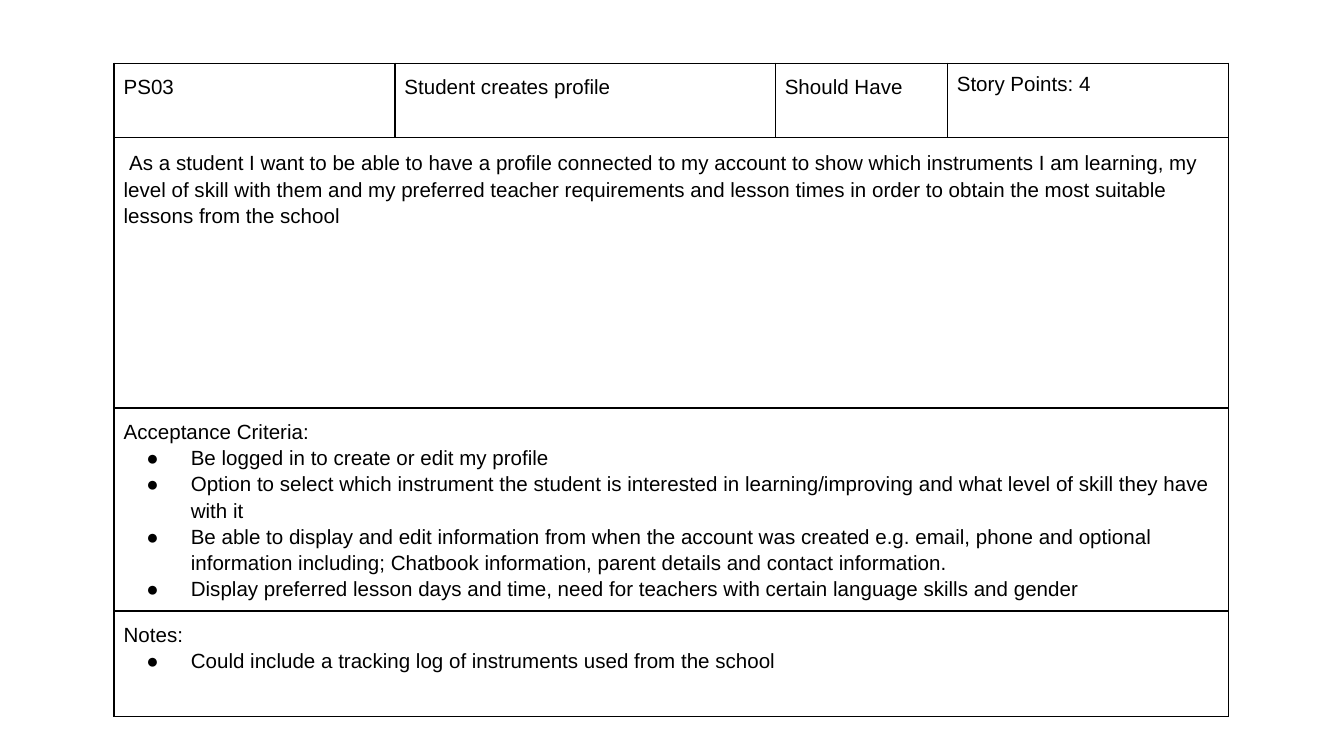
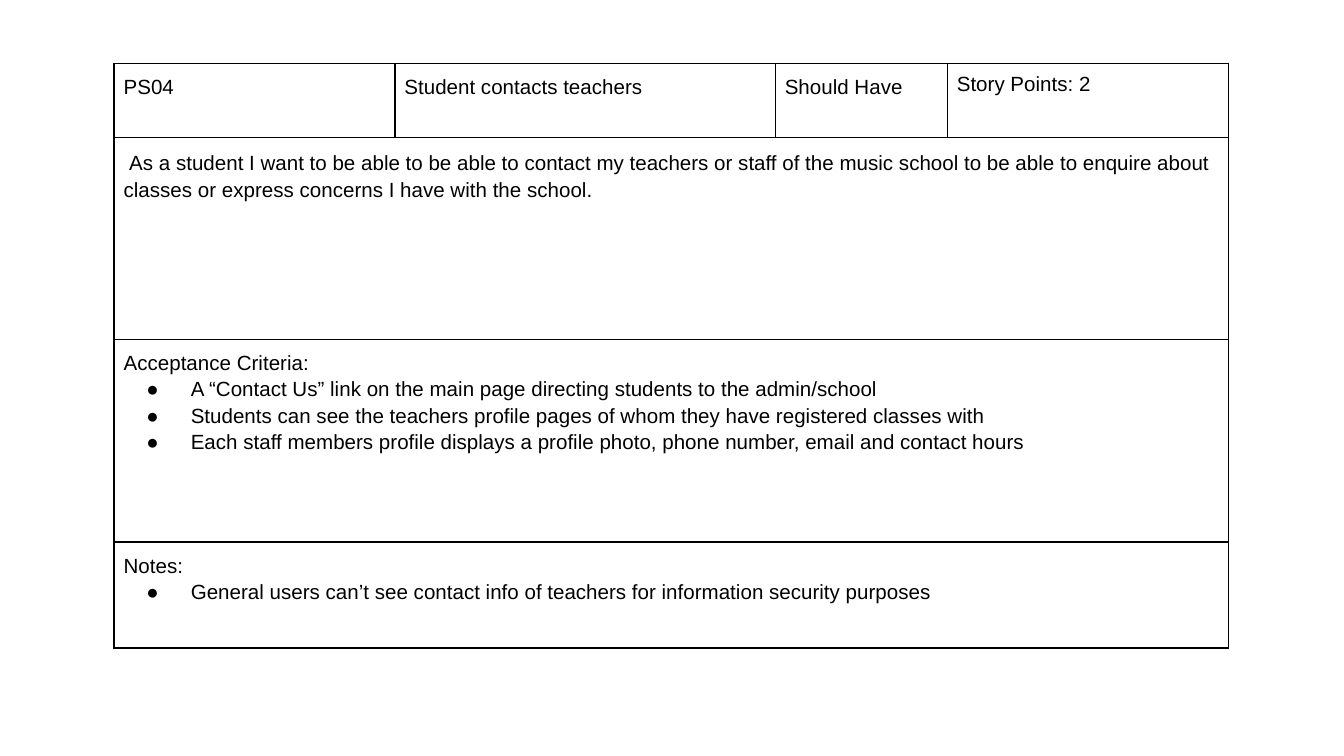
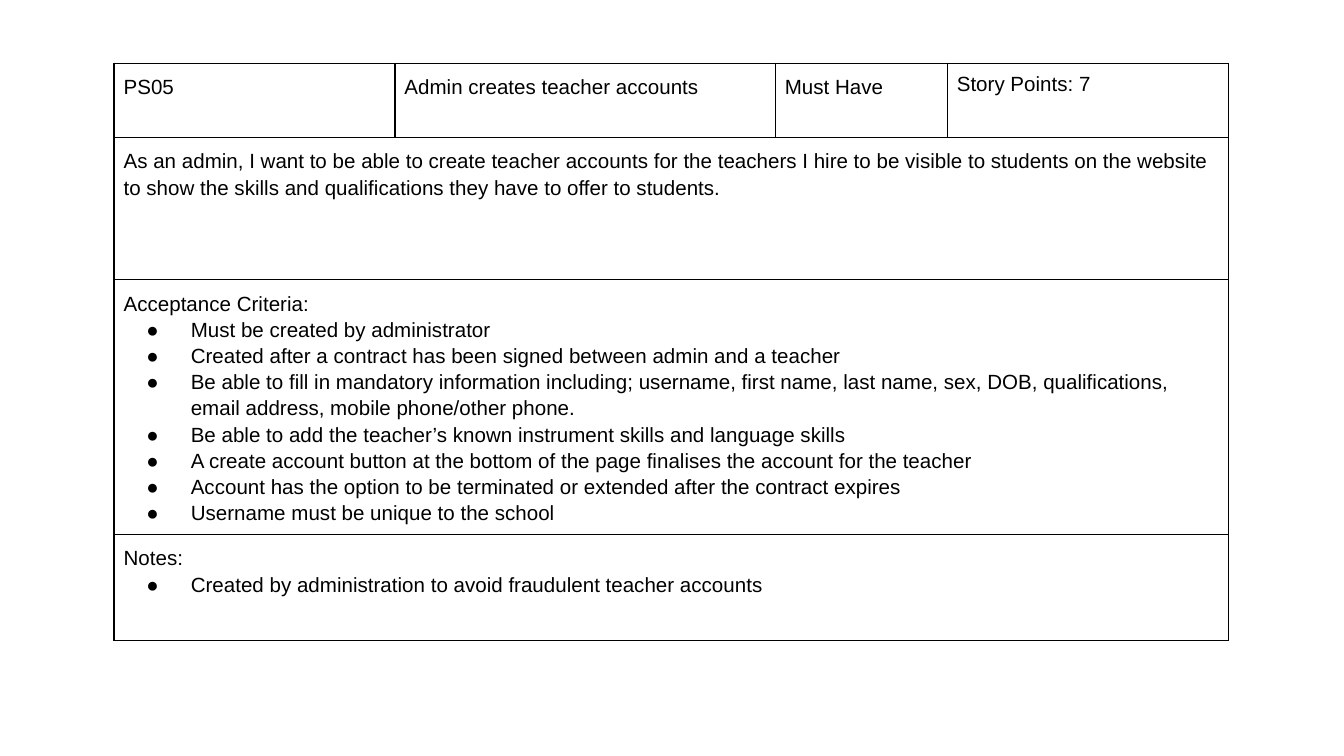
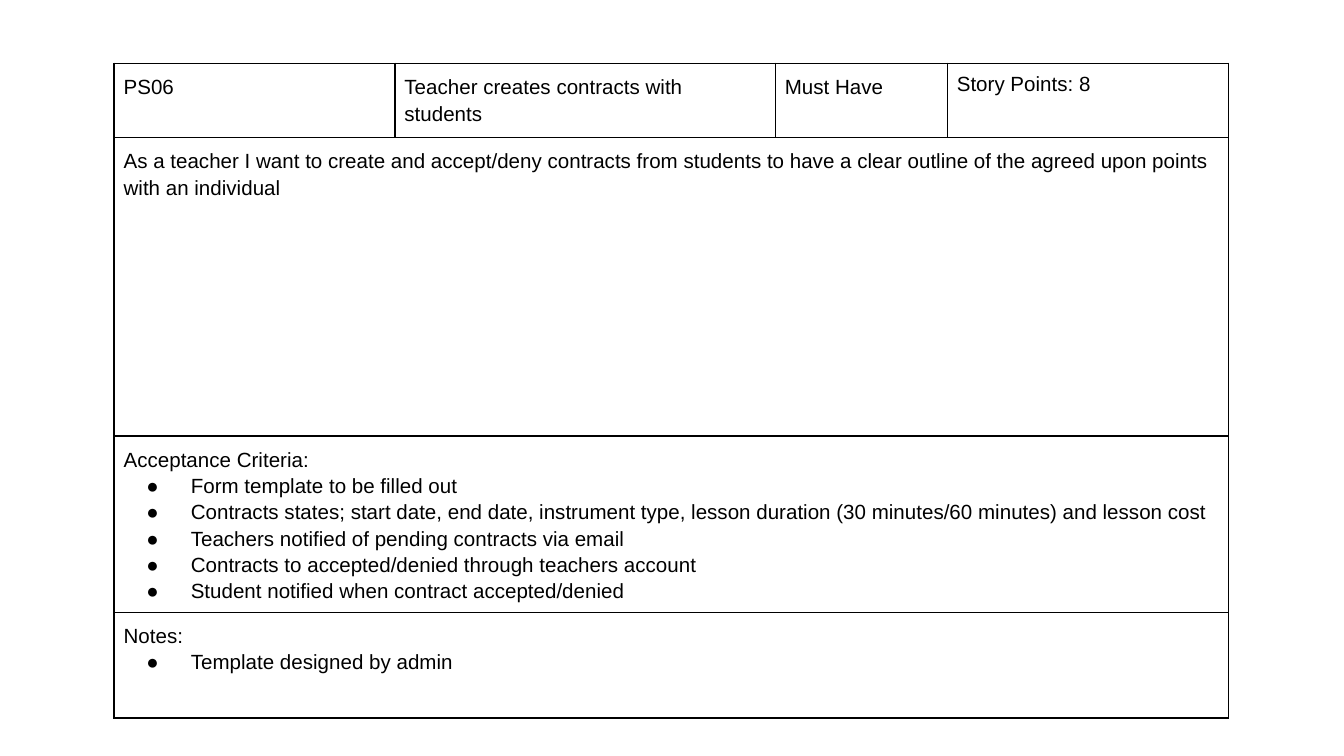
import pptx
import pptx.util
import pptx.dml.color
import pptx.oxml
import pptx.oxml.ns
import lxml.etree

SLIDE_WIDTH = pptx.util.Inches(10)
SLIDE_HEIGHT = pptx.util.Inches(5.625)
INK = "000000"
PAPER = "FFFFFF"
BODY_FONT = "Arial"
BODY_SIZE = 11
LEAD_FONT = "Times New Roman"
LEAD_SIZE = 12
LINE_SPACING = 1.15
CELL_MARGIN = pptx.util.Inches(0.07)
BULLET_INDENT = pptx.util.Inches(0.5)
BULLET_HANG = pptx.util.Inches(0.33)
CARD_LEFT, CARD_TOP = 8.5, 8.4
COLUMN_PERCENTS = [20.9, 28.3, 12.8, 20.9]
HEADER_PERCENT = 9.8
NOTES_PERCENT = 14

STORIES = [
    {
        "header": ["PS03", "Student creates profile", "Should Have", "Story Points: 4"],
        "lead": " ",
        "story": "As a student I want to be able to have a profile connected to my account to show which instruments I am learning, my level of skill with them and my preferred teacher requirements and lesson times in order to obtain the most suitable lessons from the school",
        "criteria": [
            "Be logged in to create or edit my profile",
            "Option to select which instrument the student is interested in learning/improving and what level of skill they have with it",
            "Be able to display and edit information from when the account was created e.g. email, phone and optional information including; Chatbook information, parent details and contact information.",
            "Display preferred lesson days and time, need for teachers with certain language skills and gender",
        ],
        "notes": ["Could include a tracking log of instruments used from the school"],
        "percents": [35.8, 26.8],
        "story_fill": PAPER,
    },
    {
        "header": ["PS04", "Student contacts teachers", "Should Have", "Story Points: 2"],
        "lead": " ",
        "story": "As a student I want to be able to be able to contact my teachers or staff of the music school to be able to enquire about classes or express concerns I have with the school.",
        "criteria": [
            "A “Contact Us” link on the main page directing students to the admin/school",
            "Students can see the teachers profile pages of whom they have registered classes with",
            "Each staff members profile displays a profile photo, phone number, email and contact hours",
        ],
        "notes": ["General users can’t see contact info of teachers for information security purposes"],
        "percents": [26.7, 26.8],
    },
    {
        "header": ["PS05", "Admin creates teacher accounts", "Must Have", "Story Points: 7"],
        "story": "As an admin, I want to be able to create teacher accounts for the teachers I hire to be visible to students on the website to show the skills and qualifications they have to offer to students.",
        "criteria": [
            "Must be created by administrator",
            "Created after a contract has been signed between admin and a teacher ",
            "Be able to fill in mandatory information including; username, first name, last name, sex, DOB, qualifications, email address, mobile phone/other phone.",
            "Be able to add the teacher’s known instrument skills and language skills",
            "A create account button at the bottom of the page finalises the account for the teacher",
            "Account has the option to be terminated or extended after the contract expires",
            "Username must be unique to the school",
        ],
        "notes": ["Created by administration to avoid fraudulent teacher accounts"],
        "percents": [18.8, 33.7],
    },
    {
        "header": ["PS06", "Teacher creates contracts with students", "Must Have", "Story Points: 8"],
        "story": "As a teacher I want to create and accept/deny contracts from students to have a clear outline of the agreed upon points with an individual",
        "criteria": [
            "Form template to be filled out",
            "Contracts states; start date, end date, instrument type, lesson duration (30 minutes/60 minutes) and lesson cost",
            "Teachers notified of pending contracts via email",
            "Contracts to accepted/denied through teachers account",
            "Student notified when contract accepted/denied",
        ],
        "notes": ["Template designed by admin"],
        "percents": [39.5, 23.3],
    },
]


def color(hex_string):
    return pptx.dml.color.RGBColor.from_string(hex_string)


def across(percent):
    return round(SLIDE_WIDTH * percent / 100)


def down(percent):
    return round(SLIDE_HEIGHT * percent / 100)


def add_child(parent, tag, **attributes):
    child = lxml.etree.SubElement(parent, pptx.oxml.ns.qn(tag))
    for name, value in attributes.items():
        child.set(name, str(value))
    return child


def add_text(paragraph, text, font=BODY_FONT, size=BODY_SIZE, ink=INK,
             spacing=LINE_SPACING, bullet=None):
    if spacing:
        paragraph.line_spacing = spacing
    run = paragraph.add_run()
    run.text = text
    run.font.name = font
    run.font.size = pptx.util.Pt(size)
    run.font.color.rgb = color(ink)
    if bullet:
        properties = paragraph._p.get_or_add_pPr()
        properties.set("marL", str(BULLET_INDENT))
        properties.set("indent", str(-BULLET_HANG))
        add_child(add_child(properties, "a:buClr"), "a:srgbClr", val=ink)
        add_child(properties, "a:buFont", typeface=font)
        add_child(properties, "a:buChar", char=bullet)


def format_cell(cell, fill=None):
    cell.margin_left = cell.margin_right = CELL_MARGIN
    cell.margin_top = cell.margin_bottom = CELL_MARGIN
    properties = cell._tc.get_or_add_tcPr()
    for side in ("a:lnL", "a:lnR", "a:lnT", "a:lnB"):
        line = add_child(properties, side, w=pptx.util.Pt(1))
        add_child(add_child(line, "a:solidFill"), "a:srgbClr", val=INK)
    if fill:
        cell.fill.solid()
        cell.fill.fore_color.rgb = color(fill)
    else:
        cell.fill.background()


def fill_list(cell, heading, items):
    add_text(cell.text_frame.paragraphs[0], heading)
    for item in items:
        add_text(cell.text_frame.add_paragraph(), item, bullet="●")


def fill_header(table, labels):
    last = len(labels) - 1
    for index, label in enumerate(labels):
        add_text(table.cell(0, index).text_frame.paragraphs[0], label,
                 spacing=None if index == last else LINE_SPACING)


def fill_story(cell, lead, story):
    paragraph = cell.text_frame.paragraphs[0]
    if lead:
        add_text(paragraph, lead, font=LEAD_FONT, size=LEAD_SIZE)
    add_text(paragraph, story)


def add_story_card(slide, left, top, story):
    widths = [across(percent) for percent in COLUMN_PERCENTS]
    heights = [down(percent) for percent in
               [HEADER_PERCENT, *story["percents"], NOTES_PERCENT]]
    table = slide.shapes.add_table(len(heights), len(widths), left, top,
                                   sum(widths), sum(heights)).table
    table.first_row = table.horz_banding = False
    for column, width in zip(table.columns, widths):
        column.width = width
    for index, height in enumerate(heights):
        table.rows[index].height = height
        for cell in table.rows[index].cells:
            format_cell(cell, story.get("story_fill") if index == 1 else None)
        if index:
            table.cell(index, 0).merge(table.cell(index, len(widths) - 1))
    fill_header(table, story["header"])
    fill_story(table.cell(1, 0), story.get("lead"), story["story"])
    fill_list(table.cell(2, 0), "Acceptance Criteria: ", story["criteria"])
    fill_list(table.cell(3, 0), "Notes:", story["notes"])


presentation = pptx.Presentation()
presentation.slide_width = SLIDE_WIDTH
presentation.slide_height = SLIDE_HEIGHT
for story in STORIES:
    slide = presentation.slides.add_slide(presentation.slide_layouts[6])
    add_story_card(slide, across(CARD_LEFT), down(CARD_TOP), story)
presentation.save("out.pptx")
